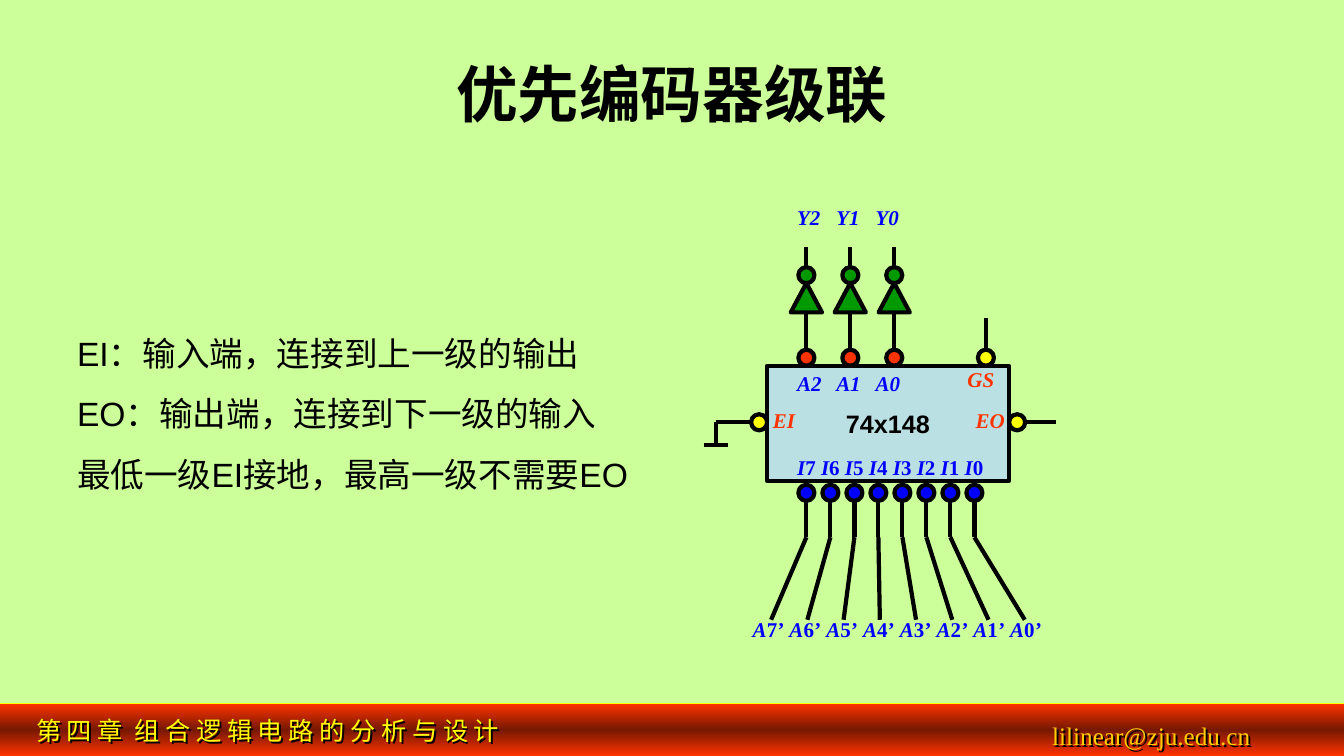
from copy import deepcopy
from itertools import groupby

from lxml.etree import SubElement
from pptx import Presentation
from pptx.dml.color import RGBColor
from pptx.enum.shapes import MSO_CONNECTOR, MSO_SHAPE
from pptx.enum.text import MSO_ANCHOR, PP_ALIGN
from pptx.oxml import parse_xml
from pptx.oxml.ns import nsdecls, qn
from pptx.util import Inches, Pt

WIDE, HIGH = Inches(13.33), Inches(7.5)
CELL = WIDE / 56
ROWS = HIGH / CELL

LIME = RGBColor(0xCC, 0xFF, 0x99)
BLACK = RGBColor(0, 0, 0)
RED = RGBColor(0xFF, 0x33, 0)
RUST = RGBColor(0x76, 0x18, 0)
YELLOW = RGBColor(0xFF, 0xFF, 0)
GOLD = RGBColor(0xFF, 0xCC, 0)
BLUE = RGBColor(0, 0, 0xFF)
GREEN = RGBColor(0, 0x99, 0)
PALE = RGBColor(0xBB, 0xE0, 0xE3)

SANS, SERIF, HAN = "Arial", "Times New Roman", "Noto Sans CJK SC"
TITLE = {"name": SANS, "size": Pt(44), "bold": True}
BODY = {"name": SANS, "size": Pt(24)}
CHIP = {"name": SANS, "size": Pt(18), "bold": True}
LABEL = {"name": SERIF, "size": Pt(15), "bold": True, "italic": True}

PIN, STEP = 33.6, 1.83
MID = 17.6
FOOT = 29.32


def grid(*cells):
    """Turn grid cells into slide lengths."""
    return [round(cell * CELL) for cell in cells]


def style(font, look, color):
    """Set the format values and colour of a font."""
    for key, value in look.items():
        setattr(font, key, value)
    font.color.rgb = color


def write(para, text, look, color):
    """Add a run with one font for Latin and Han letters."""
    run = para.add_run()
    run.text = text
    style(run.font, look, color)
    props = run.font._element
    props.find(qn("a:latin")).addnext(
        parse_xml(f'<a:ea {nsdecls("a")} typeface="{HAN}"/>'))
    return run


def box(slide, place, wrap=True, shade=False):
    """Add an empty text box, shaded if asked, and return its frame."""
    shape = slide.shapes.add_textbox(*grid(*place))
    if shade:
        shape._element.spPr.append(parse_xml(
            f'<a:effectLst {nsdecls("a")}>'
            '<a:outerShdw dist="25400" dir="2700000">'
            '<a:srgbClr val="000000"/></a:outerShdw></a:effectLst>'))
    shape.text_frame.word_wrap = wrap
    return shape.text_frame


def tabs(para, *stops):
    """Set left tab stops in cells."""
    props = para._p.get_or_add_pPr()
    held = SubElement(props, qn("a:tabLst"))
    for stop in grid(*stops):
        SubElement(held, qn("a:tab"), pos=str(stop), algn="l")


def label(slide, place, text, color, stops=()):
    """Add an italic label, with tab stops if given."""
    para = box(slide, place, wrap=bool(stops)).paragraphs[0]
    if stops:
        tabs(para, *stops)
    write(para, text, LABEL, color)


def names(slide, place, text, space=0):
    """Add pin names with slanted letters and upright, spaced numbers."""
    para = box(slide, place).paragraphs[0]
    for slant, part in groupby(text, str.isalpha):
        run = write(para, "".join(part), {**LABEL, "italic": slant}, BLUE)
        if not slant:
            run.font._element.set("spc", str(space))


def wire(slide, start, end, color=BLACK, width=3):
    """Draw a straight line between two grid points."""
    line = slide.shapes.add_connector(
        MSO_CONNECTOR.STRAIGHT, *grid(*start, *end))
    line.line.color.rgb = color
    line.line.width = Pt(width)
    SubElement(line._element.spPr, qn("a:effectLst"))


def solid(slide, kind, place, color):
    """Draw a filled shape with a thick black outline."""
    shape = slide.shapes.add_shape(kind, *grid(*place))
    shape.shadow.inherit = False
    shape.fill.solid()
    shape.fill.fore_color.rgb = color
    shape.line.color.rgb = BLACK
    shape.line.width = Pt(3)
    return shape


def dot(slide, x, y, color):
    """Draw a pin circle around a grid point."""
    size = 0.67
    solid(slide, MSO_SHAPE.OVAL, (x - size / 2, y - size / 2, size, size), color)


def footer(slide):
    """Draw the gradient band with chapter and mail."""
    band = slide.shapes.add_shape(
        MSO_SHAPE.RECTANGLE, *grid(0, FOOT, 56, ROWS - FOOT))
    band.shadow.inherit = False
    band.line.fill.background()
    band.fill.gradient()
    band.fill.gradient_angle = 90
    held = band._element.spPr.find(".//" + qn("a:gsLst"))
    held.append(deepcopy(held[0]))
    for stop, color, share in zip(
            band.fill.gradient_stops, (RED, RUST, RED), (0, 0.5, 1)):
        stop.color.rgb = color
        stop.position = share
    wire(slide, (0, FOOT), (56, FOOT), YELLOW, 0.75)
    para = box(slide, (1.09, 29.61, 38.35, 1.68), shade=True).paragraphs[0]
    tabs(para, 4.1)
    write(para, "第 四 章\t组 合 逻 辑 电 路 的 分 析 与 设 计",
          {"name": HAN, "size": Pt(18)}, YELLOW)
    para = box(slide, (43.43, 29.82, 12.56, 1.68), shade=True).paragraphs[0]
    write(para, "lilinear@zju.edu.cn", {"name": SERIF, "size": Pt(18)}, GOLD)


def words(slide):
    """Add the title and the notes on the pins."""
    frame = box(slide, (2.8, 1.26, 50.4, 5.25))
    frame.vertical_anchor = MSO_ANCHOR.MIDDLE
    para = frame.paragraphs[0]
    para.alignment = PP_ALIGN.CENTER
    write(para, "优先编码器级联", TITLE, BLACK)
    frame = box(slide, (2.8, 12.81, 24.23, 8.06))
    lines = ("EI：输入端，连接到上一级的输出",
             "EO：输出端，连接到下一级的输入",
             "最低一级EI接地，最高一级不需要EO")
    for i, text in enumerate(lines):
        para = frame.add_paragraph() if i else frame.paragraphs[0]
        para.line_spacing = 1.5
        write(para, text, BODY, BLACK)


def pins(slide):
    """Draw the wires and circles around the chip."""
    for start, end, x in ((40.57, 44.02, 42.38), (29.82, 33.26, 31.63)):
        wire(slide, (start, MID), (end, MID))
        dot(slide, x, MID, YELLOW)
    tops = [(PIN + i * STEP, RED) for i in range(3)] + [(41.08, YELLOW)]
    for x, color in tops:
        wire(slide, (x, 16.76), (x, 13.27))
        dot(slide, x, 14.91, color)
    for i in range(8):
        x = PIN + i
        wire(slide, (x, 22.39), (x, 18.9))
        dot(slide, x, 20.54, BLUE)
        wire(slide, (x, 22.39), (32.13 + i * 1.51, 25.83))
    wire(slide, (29.82, 18.56), (29.82, MID))
    wire(slide, (29.32, 18.56), (30.32, 18.56))


def gates(slide):
    """Draw the three output inverters."""
    for i in range(3):
        x = PIN + i * STEP
        wire(slide, (x, 13.57), (x, 10.29))
        solid(slide, MSO_SHAPE.ISOSCELES_TRIANGLE,
              (x - 0.65, 11.8, 1.3, 1.22), GREEN)
        dot(slide, x, 11.47, GREEN)


def chip(slide):
    """Draw the chip body and all pin names."""
    body = solid(slide, MSO_SHAPE.RECTANGLE, (31.96, 15.25, 10.08, 4.79), PALE)
    frame = body.text_frame
    frame.word_wrap = False
    frame.vertical_anchor = MSO_ANCHOR.MIDDLE
    para = frame.paragraphs[0]
    para.alignment = PP_ALIGN.CENTER
    write(para, "74x148", CHIP, BLACK)
    names(slide, (32.8, 18.73, 8.95, 1.47),
          " ".join(f"I{i}" for i in reversed(range(8))))
    names(slide, (30.95, 25.49, 13.57, 1.47),
          " ".join(f"A{i}’" for i in reversed(range(8))), 38)
    for text, y in (("A2\tA1\tA0", 15.25), ("Y2\tY1\tY0", 8.32)):
        label(slide, (32.8, y, 8.95, 1.47), text, BLUE, (1.63, 3.27))
    for text, x, y in (("EI", 31.79, 16.76), ("EO", 40.24, 16.76),
                       ("GS", 39.9, 15.08)):
        label(slide, (x, y, 2.2, 1.47), text, RED)


def main():
    """Build the slide and save it."""
    deck = Presentation()
    deck.slide_width, deck.slide_height = WIDE, HIGH
    slide = deck.slides.add_slide(deck.slide_layouts[6])
    slide.background.fill.solid()
    slide.background.fill.fore_color.rgb = LIME
    for draw in (footer, words, pins, chip, gates):
        draw(slide)
    deck.save("out.pptx")


if __name__ == "__main__":
    main()
